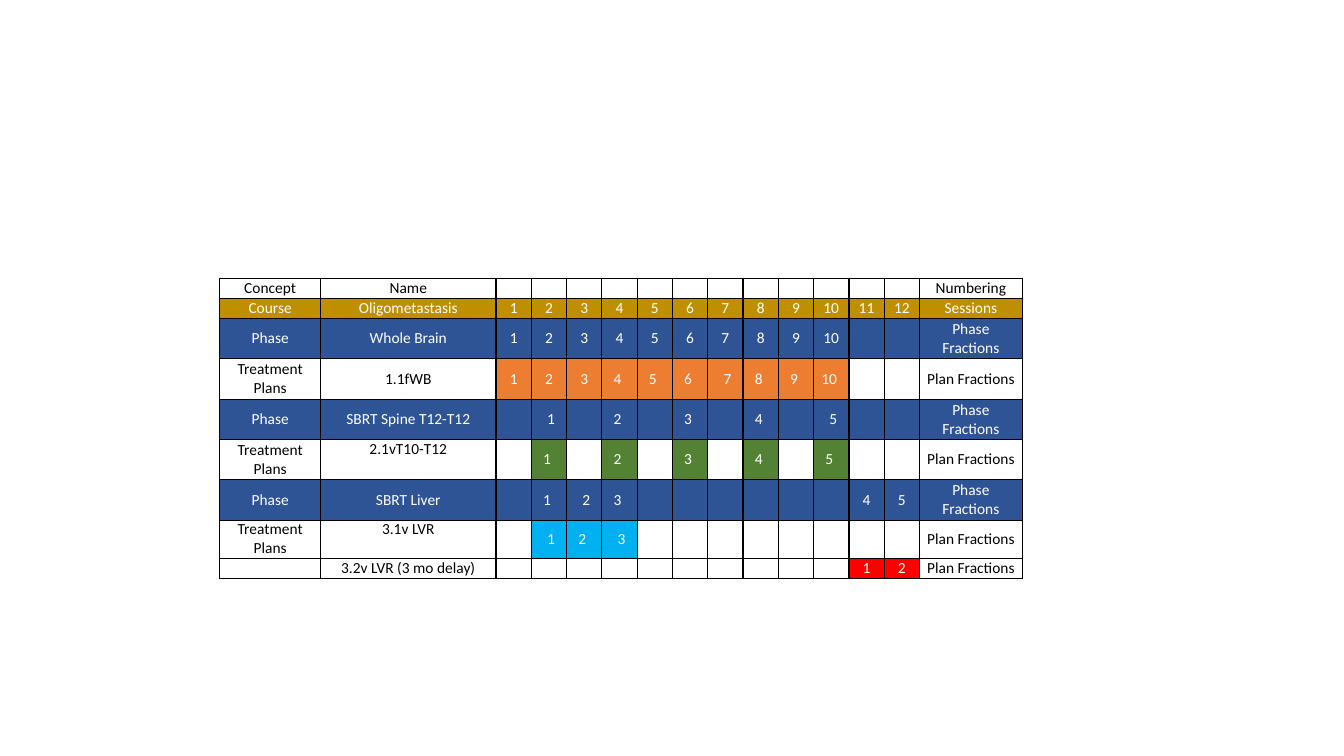
from lxml import etree
from pptx import Presentation
from pptx.dml.color import RGBColor
from pptx.enum.text import MSO_ANCHOR, PP_ALIGN
from pptx.oxml.ns import qn
from pptx.util import Pt

MIDDLE, TOP = MSO_ANCHOR.MIDDLE, MSO_ANCHOR.TOP
CENTER = PP_ALIGN.CENTER
PX = 9144
THEME = {
    "font": "Calibri", "size": 11, "line": 1,
    "black": "000000", "white": "FFFFFF",
    "gold": "BF8F00", "navy": "2F5496", "orange": "ED7D31",
    "green": "548235", "cyan": "00B0F0", "red": "FF0000",
}
INSET, LEAN = 7, 4
SLOTS = 12
WIDTHS = [100, 174] + [35] * SLOTS + [102]
HEIGHTS = [20, 20] + [40] * 5 + [34, 20]
EVEN = range(2, 11, 2)
FULL = {"gold", "navy"}
PHASE, PLAN = ("Phase", "Phase Fractions"), ("Treatment Plans", "Plan Fractions")
ROWS = [
    (("Concept", "Numbering"), "Name", "white", [], "", MIDDLE),
    (("Course", "Sessions"), "Oligometastasis", "gold", range(1, 13), "", MIDDLE),
    (PHASE, "Whole Brain", "navy", range(1, 11), "", MIDDLE),
    (PLAN, "1.1fWB", "orange", range(1, 11), "---<<<><<<", MIDDLE),
    (PHASE, "SBRT Spine T12-T12", "navy", EVEN, "><<<>", MIDDLE),
    (PLAN, "2.1vT10-T12", "green", EVEN, "<<<<<", TOP),
    (PHASE, "SBRT Liver", "navy", [2, 3, 4, 11, 12], "<><", MIDDLE),
    (PLAN, "3.1v LVR", "cyan", [2, 3, 4], "><>", TOP),
    (("", "Plan Fractions"), "3.2v LVR (3 mo delay)", "red", [11, 12], "", MIDDLE),
]


def tint(name):
    return RGBColor.from_string(THEME[name])


def write(cell, text, fill, lean="-", anchor=MIDDLE):
    form = {
        "margin_left": (INSET + LEAN * (lean == ">")) * PX,
        "margin_right": (INSET + LEAN * (lean == "<")) * PX,
        "margin_top": 0, "margin_bottom": 0, "vertical_anchor": anchor,
    }
    for key, value in form.items():
        setattr(cell, key, value)
    props = cell._tc.get_or_add_tcPr()
    for side in "LRTB":
        line = etree.SubElement(props, qn("a:ln" + side), w=str(Pt(THEME["line"])))
        solid = etree.SubElement(line, qn("a:solidFill"))
        etree.SubElement(solid, qn("a:srgbClr"), val=THEME["black"])
    cell.fill.solid()
    cell.fill.fore_color.rgb = tint(fill)
    para = cell.text_frame.paragraphs[0]
    para.alignment = CENTER
    if text:
        run = para.add_run()
        run.text = text
        for key, value in {"name": THEME["font"], "size": Pt(THEME["size"])}.items():
            setattr(run.font, key, value)
        run.font.color.rgb = tint("black" if fill == "white" else "white")
    else:
        etree.SubElement(para._p, qn("a:endParaRPr"), sz=str(THEME["size"] * 100))


deck = Presentation()
deck.slide_width, deck.slide_height = 1333 * PX, 750 * PX
slide = deck.slides.add_slide(deck.slide_layouts[6])
frame = slide.shapes.add_table(
    len(ROWS), len(WIDTHS), 218 * PX, 276 * PX, sum(WIDTHS) * PX, sum(HEIGHTS) * PX)
grid = frame.table
for key in ("first_row", "horz_banding"):
    setattr(grid, key, False)
for col, width in zip(grid.columns, WIDTHS):
    col.width = width * PX
for row, height in zip(grid.rows, HEIGHTS):
    row.height = height * PX

for r, (ends, name, hue, marks, leans, anchor) in enumerate(ROWS):
    base = hue if hue in FULL else "white"
    write(grid.cell(r, 0), ends[0], base)
    write(grid.cell(r, 1), name, base, anchor=anchor)
    write(grid.cell(r, SLOTS + 2), ends[1], base)
    count = 0
    for slot in range(1, SLOTS + 1):
        cell = grid.cell(r, slot + 1)
        if slot in marks:
            write(cell, str(count + 1), hue, leans[count:count + 1])
            count += 1
        else:
            write(cell, "", base)

deck.save("out.pptx")
